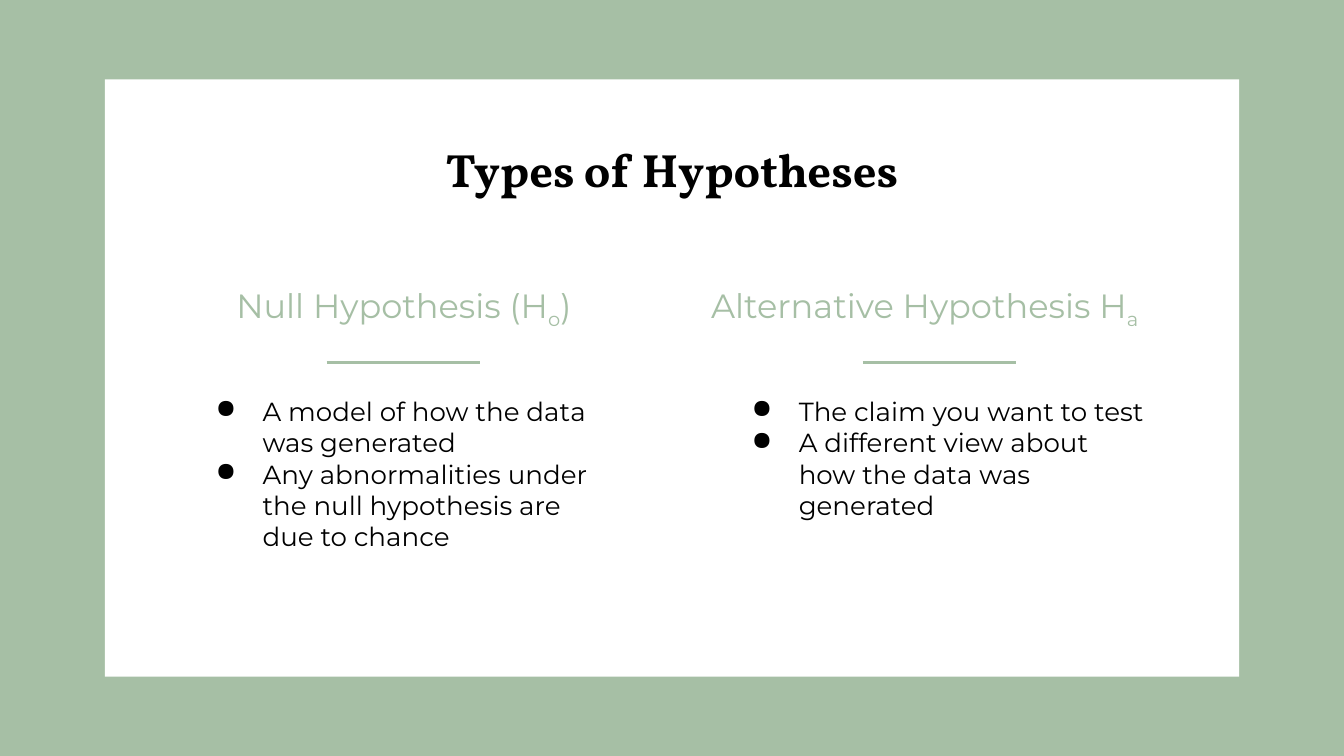
from lxml import etree
from pptx import Presentation, util as u
from pptx.dml.color import RGBColor
from pptx.enum import shapes, text
from pptx.oxml.ns import qn

GREEN, WHITE, BLACK = "A6BFA5", "FFFFFF", "000000"
WIDTH = 10
HEIGHT = WIDTH * 9 / 16
MARGIN_X, MARGIN_Y = 0.78, 0.59
PANEL_WIDTH = WIDTH - 2 * MARGIN_X
COLUMN_CENTERS = (3, 6.99)
BODY_WIDTH, RULE_WIDTH = 3.29, 1.14
HEADING_TOP, RULE_TOP, BODY_TOP = 2.08, 2.7, 2.84

TITLE = "Types of Hypotheses"
COLUMNS = [
    {
        "heading": [("Null Hypothesis (H", 0), ("o", -25), (")", 0)],
        "heading_box": (1.36, 3.29),
        "points": [
            "A model of how the data was generated",
            "Any abnormalities under the null hypothesis are due to chance",
        ],
    },
    {
        "heading": [("Alternative Hypothesis H", 0), ("a", -25)],
        "heading_box": (5.12, 3.52),
        "points": [
            "The claim you want to test",
            "A different view about how the data was generated",
        ],
    },
]


def color(value):
    return RGBColor.from_string(value)


def add_bullet(paragraph):
    properties = paragraph._p.get_or_add_pPr()
    properties.set("marL", str(u.Inches(0.5)))
    properties.set("indent", str(u.Inches(-0.35)))
    bullet_color = etree.SubElement(properties, qn("a:buClr"))
    etree.SubElement(bullet_color, qn("a:srgbClr"), val=BLACK)
    etree.SubElement(properties, qn("a:buChar"), char="●")


def add_text(slide, box, paragraphs, size, font="Montserrat", fill=BLACK, bold=False,
             align=text.PP_ALIGN.LEFT, anchor=text.MSO_ANCHOR.TOP, bullets=False):
    frame = slide.shapes.add_textbox(*map(u.Inches, box)).text_frame
    frame.word_wrap = True
    frame.vertical_anchor = anchor
    frame.margin_left = frame.margin_right = u.Inches(0.1)
    frame.margin_top = frame.margin_bottom = u.Inches(0.1)
    for index, runs in enumerate(paragraphs):
        paragraph = frame.add_paragraph() if index else frame.paragraphs[0]
        paragraph.alignment = align
        if bullets:
            add_bullet(paragraph)
        for words, baseline in runs:
            run = paragraph.add_run()
            run.text = words
            run.font.name, run.font.size, run.font.bold = font, u.Pt(size), bold
            run.font.color.rgb = color(fill)
            if baseline:
                run.font._element.set("baseline", str(baseline * 1000))


def add_rule(slide, center):
    ends = (center - RULE_WIDTH / 2, RULE_TOP, center + RULE_WIDTH / 2, RULE_TOP)
    rule = slide.shapes.add_connector(shapes.MSO_CONNECTOR.STRAIGHT, *map(u.Inches, ends))
    rule.line.color.rgb = color(GREEN)
    rule.line.width = u.Pt(1.5)
    etree.SubElement(rule._element.spPr, qn("a:effectLst"))


def main():
    presentation = Presentation()
    presentation.slide_width, presentation.slide_height = u.Inches(WIDTH), u.Inches(HEIGHT)
    slide = presentation.slides.add_slide(presentation.slide_layouts[6])
    slide.background.fill.solid()
    slide.background.fill.fore_color.rgb = color(GREEN)

    panel_box = (MARGIN_X, MARGIN_Y, PANEL_WIDTH, HEIGHT - 2 * MARGIN_Y)
    panel = slide.shapes.add_shape(shapes.MSO_SHAPE.RECTANGLE, *map(u.Inches, panel_box))
    panel.shadow.inherit = False
    panel.fill.solid()
    panel.fill.fore_color.rgb = color(WHITE)
    panel.line.fill.background()

    add_text(slide, (MARGIN_X, 0.95, PANEL_WIDTH, 0.6), [[(TITLE, 0)]], 25,
             font="Vollkorn", bold=True, align=text.PP_ALIGN.CENTER)
    for column, center in zip(COLUMNS, COLUMN_CENTERS):
        left, width = column["heading_box"]
        add_text(slide, (left, HEADING_TOP, width, 0.48), [column["heading"]], 18,
                 fill=GREEN, align=text.PP_ALIGN.CENTER, anchor=text.MSO_ANCHOR.BOTTOM)
        add_rule(slide, center)
        add_text(slide, (center - BODY_WIDTH / 2, BODY_TOP, BODY_WIDTH, 1.35),
                 [[(point, 0)] for point in column["points"]], 14, bullets=True)

    presentation.save("out.pptx")


if __name__ == "__main__":
    main()
